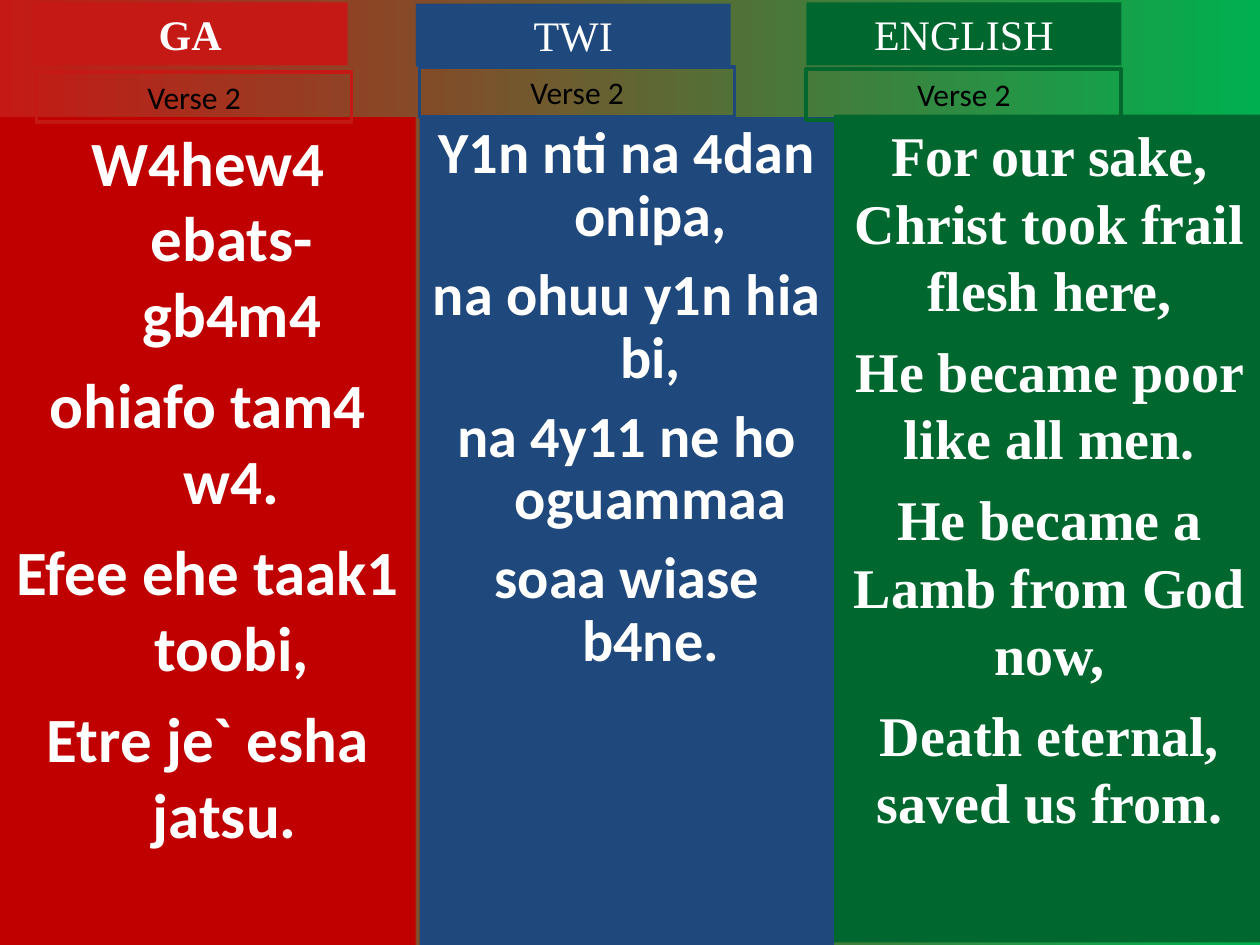
from pptx import Presentation
from pptx.dml.color import RGBColor
from pptx.enum import shapes, text
from pptx.util import Inches, Pt

RED = RGBColor(0xC5, 0x19, 0x15)
DARK_RED = RGBColor(0xC0, 0x00, 0x00)
BLUE = RGBColor(0x1F, 0x49, 0x7D)
GREEN = RGBColor(0x00, 0x68, 0x2F)
BRIGHT_GREEN = RGBColor(0x00, 0xB0, 0x50)
WHITE = RGBColor(0xFF, 0xFF, 0xFF)
BLACK = RGBColor(0x00, 0x00, 0x00)
SERIF, SANS = "Times New Roman", "Calibri"


def add_box(s, box, fill=None, line=None):
    sp = s.shapes.add_shape(shapes.MSO_SHAPE.RECTANGLE, *map(Inches, box))
    sp.shadow.inherit = False
    if fill is None:
        sp.fill.background()
    else:
        sp.fill.solid()
        sp.fill.fore_color.rgb = fill
    if line is None:
        sp.line.fill.background()
    else:
        sp.line.color.rgb = line
        sp.line.width = Pt(2.25)
    return sp.text_frame


def write(tf, lines, font, size, color, bold=False, before=0, spacing=None, hanging=0):
    """Fill a frame with centred paragraphs, anchored at the top."""
    tf.word_wrap = True
    tf.vertical_anchor = text.MSO_ANCHOR.TOP
    for i, line in enumerate(lines):
        p = tf.paragraphs[0] if i == 0 else tf.add_paragraph()
        p.text = line
        p.alignment = text.PP_ALIGN.CENTER
        if i:
            p.space_before = Pt(before)
        if spacing:
            p.line_spacing = spacing
        if hanging:
            pPr = p._p.get_or_add_pPr()
            pPr.set("marL", str(Inches(hanging)))
            pPr.set("indent", str(-Inches(hanging)))
        p.font.name = font
        p.font.size = Pt(size)
        p.font.bold = bold
        p.font.color.rgb = color


prs = Presentation()
prs.slide_width, prs.slide_height = Inches(10), Inches(7.5)
s = prs.slides.add_slide(prs.slide_layouts[6])

background = s.background.fill
background.gradient()
background.gradient_angle = 0
for stop, color in zip(background.gradient_stops, (RED, BRIGHT_GREEN)):
    stop.color.rgb = color

# language, accent, panel colour, left/top of title and verse label, panel box, lyrics, lyric style
columns = [
    ("GA", RED, DARK_RED, (0.26, 0.02), (0.29, 0.57), (0, 0.93, 3.3, 6.57),
     ["W4hew4 ebats- gb4m4", "ohiafo tam4 w4.", "Efee ehe taak1 toobi,",
      "Etre je` esha jatsu. "],
     dict(font=SANS, size=36, before=9, hanging=0.38)),
    ("TWI", BLUE, BLUE, (3.3, 0.03), (3.33, 0.53), (3.33, 0.93, 3.29, 6.57),
     ["Y1n nti na 4dan onipa,", "na ohuu y1n hia bi,", "na 4y11 ne ho oguammaa",
      "soaa wiase b4ne."],
     dict(font=SANS, size=33.3, before=9, spacing=0.9, hanging=0.38)),
    ("ENGLISH", GREEN, GREEN, (6.4, 0.02), (6.4, 0.55), (6.62, 0.91, 3.42, 6.57),
     ["For our sake, Christ took frail flesh here,", "He became poor like all men.",
      "He became a Lamb from God now,", "Death eternal, saved us from."],
     dict(font=SERIF, size=32, before=8)),
]

for language, accent, panel, title_at, verse_at, panel_box, lyrics, style in columns:
    write(add_box(s, panel_box, fill=panel), lyrics, color=WHITE, bold=True, **style)
    write(add_box(s, (*title_at, 2.5, 0.5), fill=accent), [language], SERIF, 24, WHITE,
          bold=language == "GA")
    write(add_box(s, (*verse_at, 2.5, 0.4), line=accent), ["Verse 2"], SANS, 18, BLACK)

prs.save("out.pptx")
